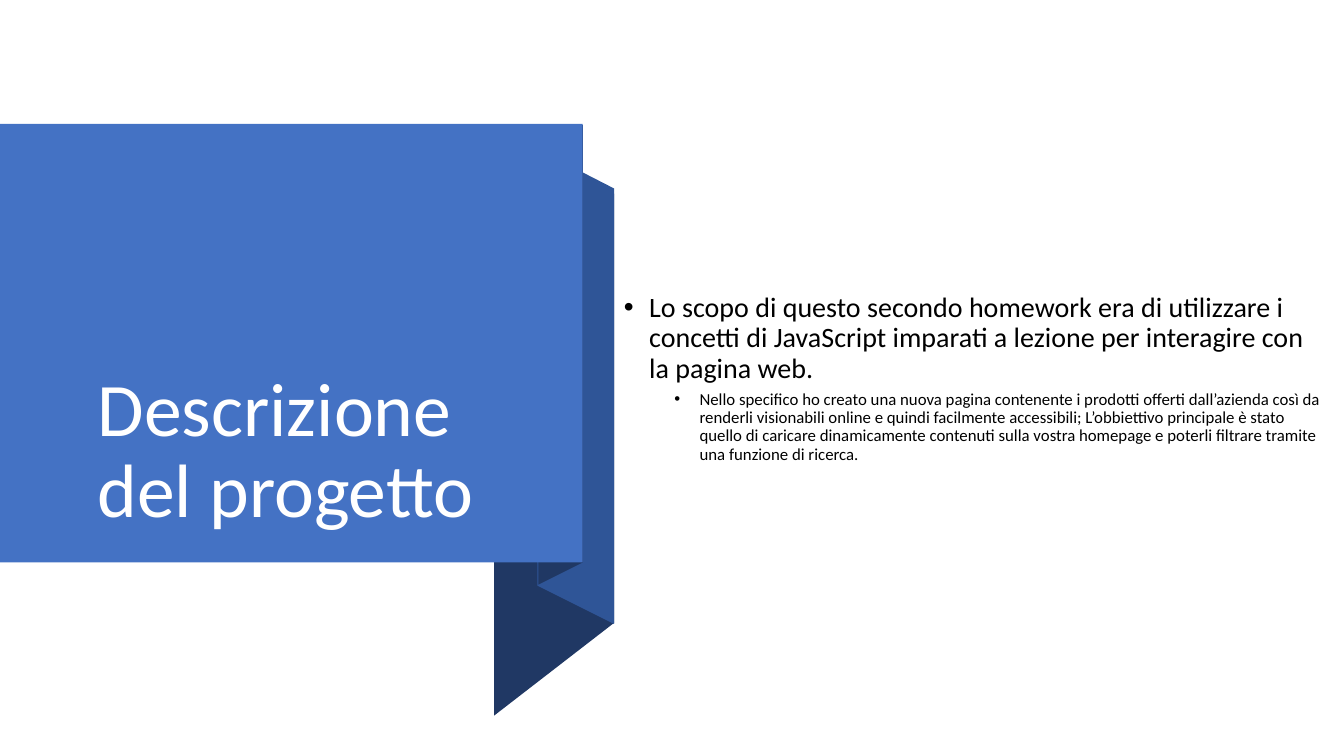
from dataclasses import dataclass

from lxml.etree import SubElement
from pptx import Presentation
from pptx.dml.color import RGBColor as RGB
from pptx.enum.shapes import MSO_SHAPE as Shape
from pptx.enum.text import MSO_ANCHOR as Anchor, PP_ALIGN as Align
from pptx.oxml.ns import qn
from pptx.util import Inches, Pt


@dataclass(frozen=True)
class Theme:
    font: str = "Calibri"
    panel: str = "4472C4"
    ribbon: str = "2F5597"
    fold: str = "203864"
    title_color: str = "FFFFFF"
    body_color: str = "000000"
    title_size: int = 54
    body_sizes: tuple = (20, 12)
    body_gaps: tuple = (10, 5)
    body_indents: tuple = (0.25, 0.75)
    hanging: float = -0.25
    line_spacing: float = 0.9


class SlideBuilder:
    def __init__(self, prs, theme):
        self.theme = theme
        self.width, self.height = prs.slide_width, prs.slide_height
        self.s = prs.slides.add_slide(prs.slide_layouts[6])

    def x(self, percent):
        return round(self.width * percent / 100)

    def y(self, percent):
        return round(self.height * percent / 100)

    def box(self, left, top, width, height):
        return self.x(left), self.y(top), self.x(width), self.y(height)

    def paint(self, sp, color):
        sp.shadow.inherit = False
        sp.fill.solid()
        sp.fill.fore_color.rgb = RGB.from_string(color)
        sp.line.fill.background()

    def polygon(self, points, color):
        start, *rest = [(self.x(px), self.y(py)) for px, py in points]
        outline = self.s.shapes.build_freeform(*start, scale=1.0)
        outline.add_line_segments(rest, close=True)
        self.paint(outline.convert_to_shape(), color)

    def rectangle(self, area, color):
        self.paint(self.s.shapes.add_shape(Shape.RECTANGLE, *self.box(*area)), color)

    def frame(self, area, anchor):
        tf = self.s.shapes.add_textbox(*self.box(*area)).text_frame
        tf.word_wrap = True
        tf.vertical_anchor = anchor
        return tf

    def run(self, p, text, size, color):
        p.alignment = Align.LEFT
        p.line_spacing = self.theme.line_spacing
        r = p.add_run()
        r.text = text
        r.font.name = self.theme.font
        r.font.size = Pt(size)
        r.font.color.rgb = RGB.from_string(color)

    def title(self, area, text):
        tf = self.frame(area, Anchor.BOTTOM)
        self.run(tf.paragraphs[0], text, self.theme.title_size, self.theme.title_color)

    def bullets(self, area, items):
        tf = self.frame(area, Anchor.MIDDLE)
        for i, (level, text) in enumerate(items):
            p = tf.add_paragraph() if i else tf.paragraphs[0]
            p.level = level
            self.run(p, text, self.theme.body_sizes[level], self.theme.body_color)
            p.space_before = Pt(self.theme.body_gaps[level])
            pPr = p._p.get_or_add_pPr()
            pPr.set("marL", str(Inches(self.theme.body_indents[level])))
            pPr.set("indent", str(Inches(self.theme.hanging)))
            SubElement(pPr, qn("a:buFont"), typeface="Arial")
            SubElement(pPr, qn("a:buChar"), char="•")


def main():
    prs = Presentation()
    prs.slide_width, prs.slide_height = Inches(13.33), Inches(7.5)
    theme = Theme()
    slide = SlideBuilder(prs, theme)

    panel_right, ribbon_right = 43.36, 45.69
    tail_left, ribbon_left, fold_left = 36.76, 39.98, 40.06
    panel_top, panel_height = 16.4, 58

    slide.polygon([(ribbon_right, 82.4), (tail_left, 94.67),
                   (tail_left, 37.87), (ribbon_right, 25.6)], theme.fold)
    slide.polygon([(ribbon_right, 82.53), (ribbon_left, 77.47),
                   (ribbon_left, 19.73), (ribbon_right, 24.93)], theme.ribbon)
    slide.polygon([(panel_right, 74.4), (fold_left, 77.33),
                   (fold_left, 19.47), (panel_right, 16.53)], theme.fold)
    slide.rectangle((0, panel_top, panel_right, panel_height), theme.panel)

    slide.title((6.53, 19.73, 35.48, 51.6), "Descrizione del progetto")
    slide.bullets((ribbon_right, 9.6, 53.79, 80.93), [
        (0, "Lo scopo di questo secondo homework era di utilizzare i concetti di "
            "JavaScript imparati a lezione per interagire con la pagina web."),
        (1, "Nello specifico ho creato una nuova pagina contenente i prodotti offerti "
            "dall’azienda così da renderli visionabili online e quindi facilmente "
            "accessibili; L’obbiettivo principale è stato quello di caricare "
            "dinamicamente contenuti sulla vostra homepage e poterli filtrare tramite "
            "una funzione di ricerca."),
    ])
    prs.save("out.pptx")


if __name__ == "__main__":
    main()
